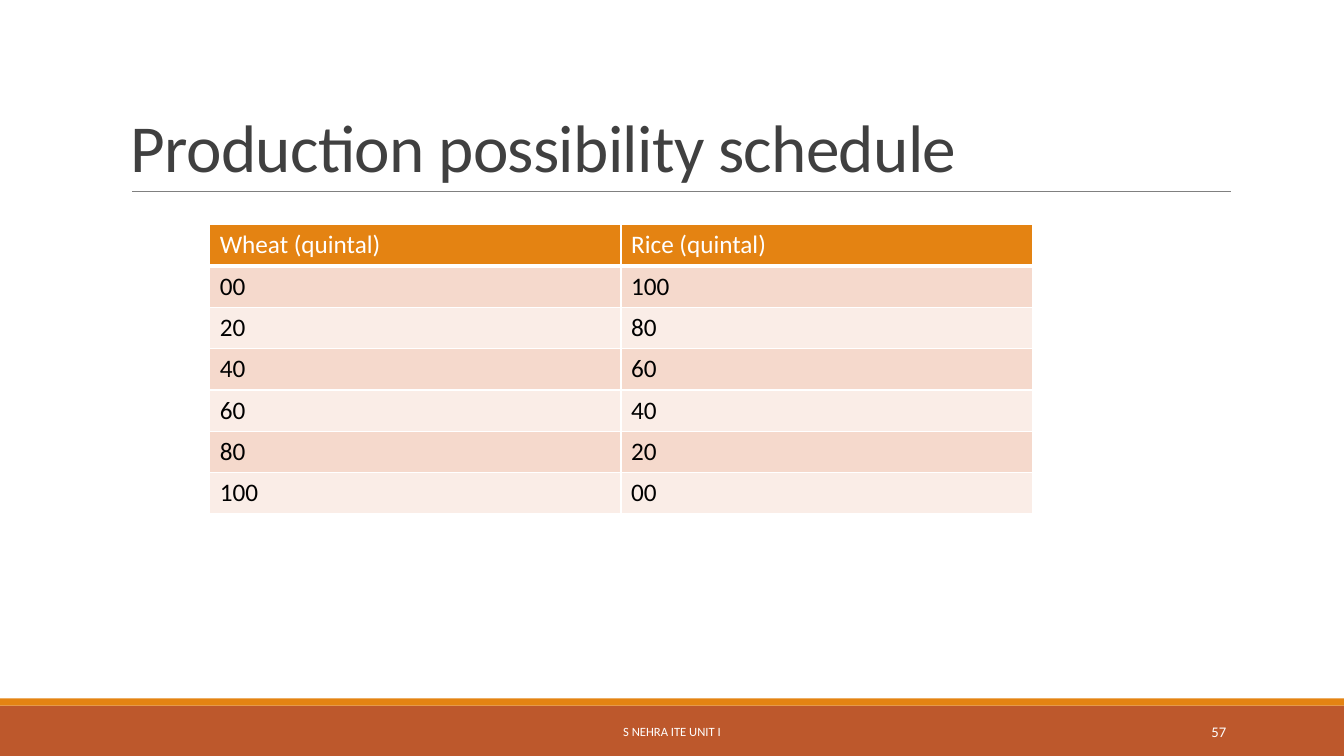
from lxml.etree import SubElement
from pptx import Presentation
from pptx.dml.color import RGBColor
from pptx.enum.shapes import MSO_CONNECTOR as Wire, MSO_SHAPE as Form
from pptx.enum.text import MSO_ANCHOR as Anchor, PP_ALIGN as Align
from pptx.oxml import parse_xml
from pptx.oxml.ns import nsdecls, qn
from pptx.util import Inches, Pt

WHITE = RGBColor(0xFF, 0xFF, 0xFF)
BLACK = RGBColor(0, 0, 0)
DARK = RGBColor(0x40, 0x40, 0x40)
GREY = RGBColor(0x80, 0x80, 0x80)
RUST = RGBColor(0xBD, 0x58, 0x2C)
ORANGE = RGBColor(0xE4, 0x83, 0x12)
BANDS = (RGBColor(0xFA, 0xED, 0xE7), RGBColor(0xF5, 0xD9, 0xCC))

WIDE, HIGH = 13.33, 7.5
ROWS = [
    ("Wheat (quintal)", "Rice (quintal)"),
    ("00", "100"),
    ("20", "80"),
    ("40", "60"),
    ("60", "40"),
    ("80", "20"),
    ("100", "00"),
]
GRID = {"left": 2.08, "top": 2.23, "col": 4.08, "row": 0.41}
BARS = [((0, 7, WIDE, 0.5), RUST), ((0, 6.93, WIDE, 0.07), ORANGE)]
RULE = (1.31, 1.9, 12.21, 1.9)
TEXTS = [
    ("Production possibility schedule", (1.2, 0.31, 11, 1.59), Anchor.BOTTOM,
     {"alignment": Align.LEFT, "line_spacing": 0.85}, {"size": Pt(48)}, DARK, -50),
    ("57", (10.83, 7.06, 1.43, 0.4), Anchor.MIDDLE,
     {"alignment": Align.RIGHT}, {"size": Pt(10.5)}, WHITE, 0),
    ("S NEHRA ITE UNIT I", (4.03, 7.06, 5.27, 0.4), Anchor.MIDDLE,
     {"alignment": Align.CENTER}, {"size": Pt(9)}, WHITE, 0),
]


def inches(box):
    """Turn numbers into lengths."""
    return [Inches(n) for n in box]


def assign(item, form):
    """Set each attribute in a dict of format values."""
    for name, value in form.items():
        setattr(item, name, value)


def style(run, form, color):
    """Give a run its font and colour."""
    assign(run.font, {"name": "Calibri", "bold": False, **form})
    run.font.color.rgb = color


def add_bar(slide, box, color):
    """Draw a plain filled bar."""
    bar = slide.shapes.add_shape(Form.RECTANGLE, *inches(box))
    bar.shadow.inherit = False
    bar.fill.solid()
    bar.fill.fore_color.rgb = color
    bar.line.fill.background()


def add_rule(slide):
    """Draw the line under the title."""
    rule = slide.shapes.add_connector(Wire.STRAIGHT, *inches(RULE))
    rule.line.color.rgb = GREY
    rule.line.width = Pt(0.5)
    SubElement(rule._element.spPr, qn("a:effectLst"))


def add_text(slide, text, box, anchor, para, font, color, gap):
    """Place one line of text."""
    frame = slide.shapes.add_textbox(*inches(box)).text_frame
    assign(frame, {"word_wrap": True, "vertical_anchor": anchor})
    line = frame.paragraphs[0]
    assign(line, para)
    run = line.add_run()
    run.text = text
    style(run, font, color)
    if gap:
        run._r.get_or_add_rPr().set("spc", str(gap))


def add_edges(cell, head):
    """Draw the white borders of a cell."""
    props = cell._tc.get_or_add_tcPr()
    for spot, side in enumerate("LRTB"):
        width = Pt(3 if head and side == "B" else 1)
        props.insert(spot, parse_xml(
            f'<a:ln{side} {nsdecls("a")} w="{width}"><a:solidFill>'
            f'<a:srgbClr val="{WHITE}"/></a:solidFill></a:ln{side}>'))


def add_grid(slide):
    """Build the schedule table."""
    rows, cols = len(ROWS), len(ROWS[0])
    box = (GRID["left"], GRID["top"], cols * GRID["col"], rows * GRID["row"])
    table = slide.shapes.add_table(rows, cols, *inches(box)).table
    for r, row in enumerate(ROWS):
        table.rows[r].height = Inches(GRID["row"])
        for c, text in enumerate(row):
            cell = table.cell(r, c)
            cell.fill.solid()
            cell.fill.fore_color.rgb = BANDS[r % 2] if r else ORANGE
            add_edges(cell, r == 0)
            run = cell.text_frame.paragraphs[0].add_run()
            run.text = text
            style(run, {"size": Pt(18)}, BLACK if r else WHITE)


def main():
    """Build and save the slide."""
    deck = Presentation()
    deck.slide_width, deck.slide_height = inches((WIDE, HIGH))
    slide = deck.slides.add_slide(deck.slide_layouts[6])
    for bar in BARS:
        add_bar(slide, *bar)
    add_rule(slide)
    add_grid(slide)
    for item in TEXTS:
        add_text(slide, *item)
    deck.save("out.pptx")


if __name__ == "__main__":
    main()
